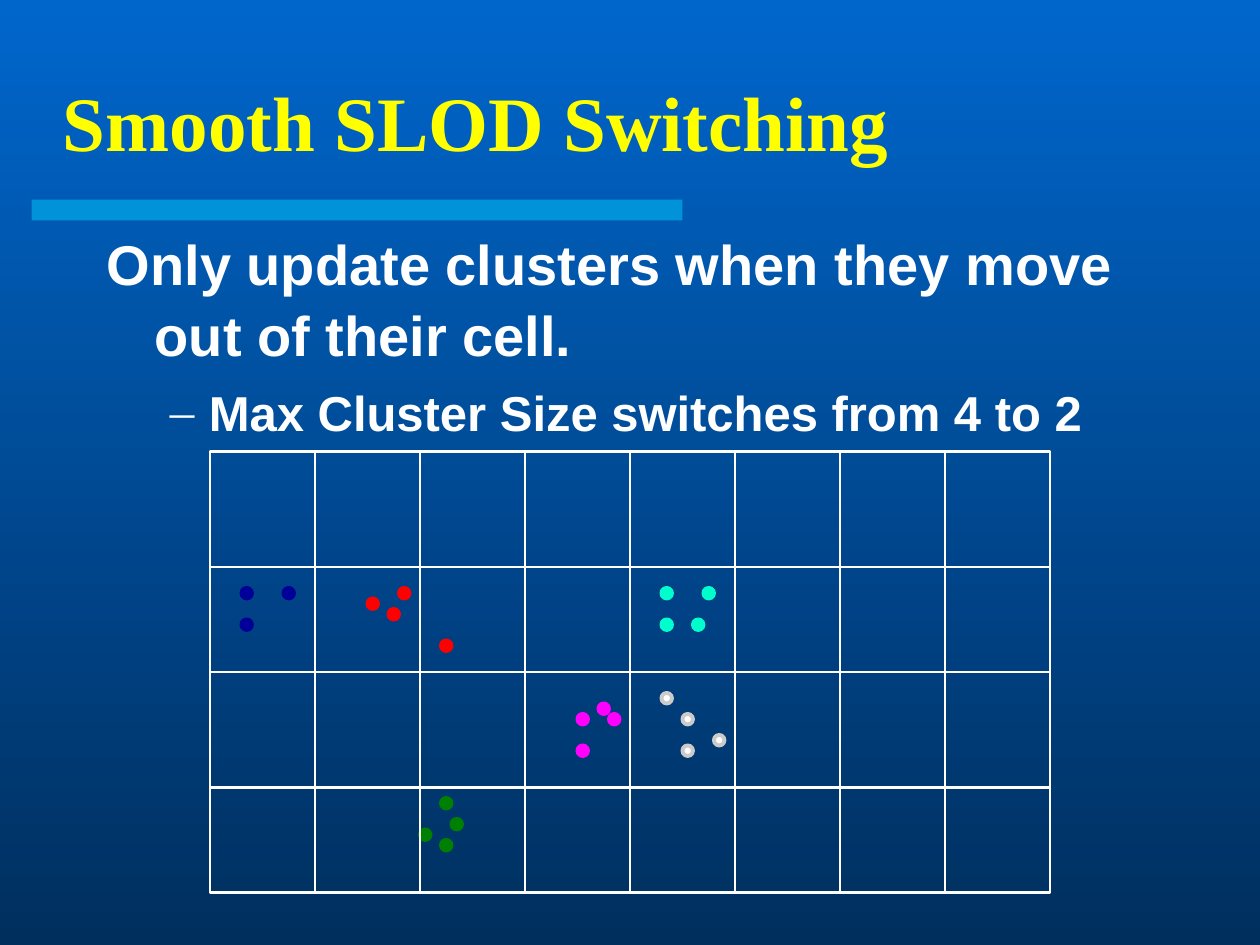
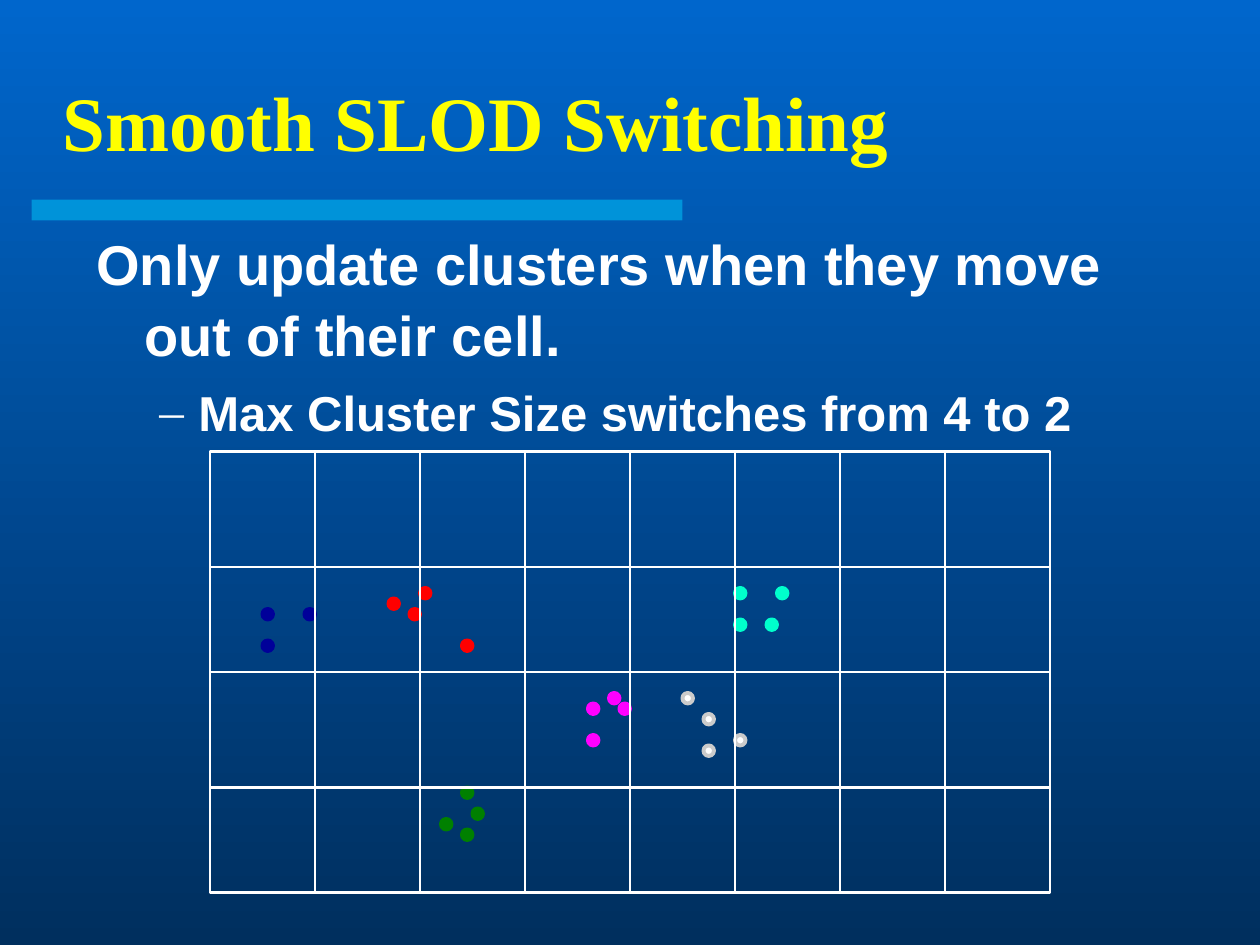
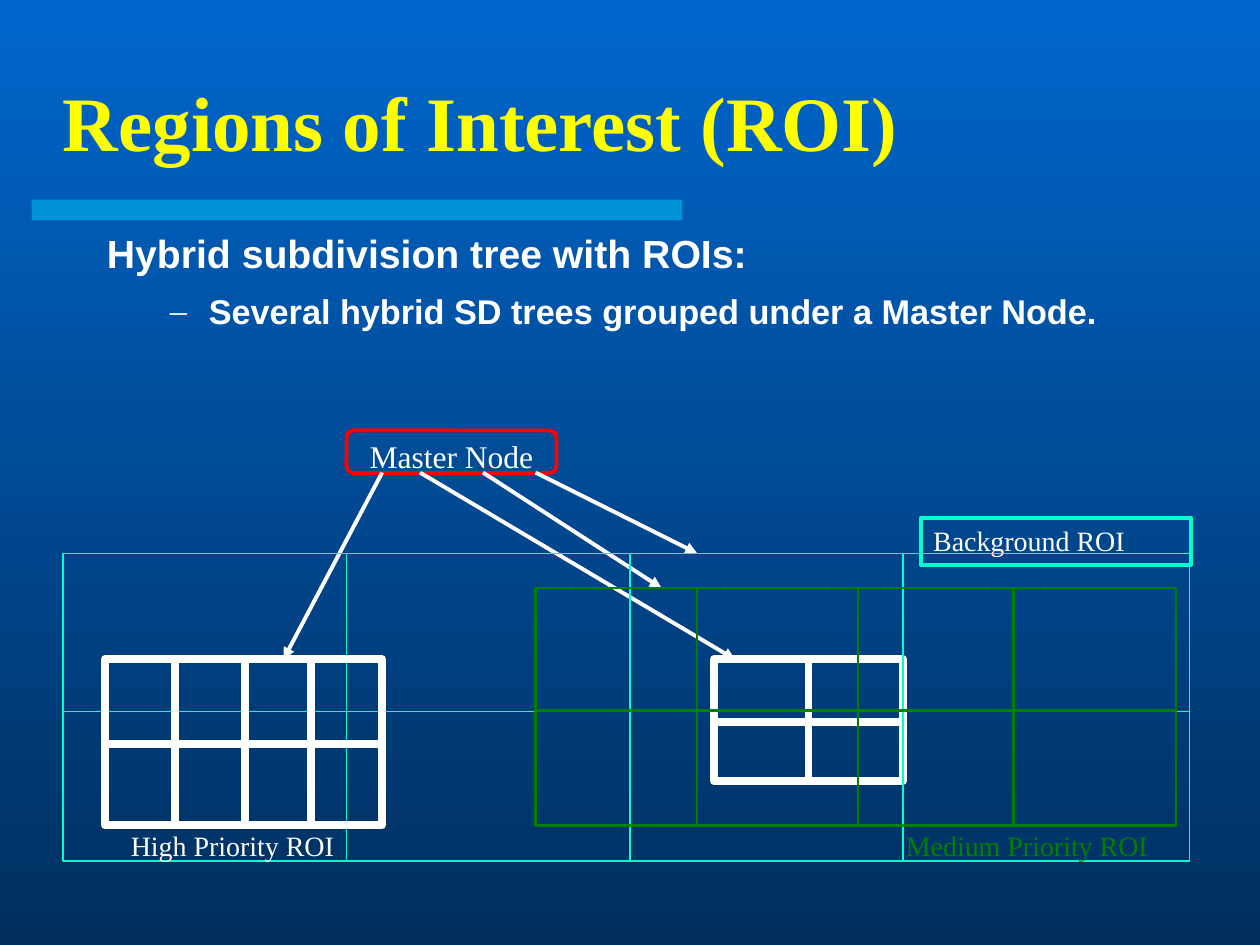
from lxml import etree
from pptx import Presentation
from pptx.dml.color import RGBColor
from pptx.enum.shapes import MSO_CONNECTOR, MSO_SHAPE
from pptx.enum.text import MSO_ANCHOR, PP_ALIGN
from pptx.oxml.ns import qn
from pptx.util import Inches, Pt

SKY = RGBColor(0x00, 0x66, 0xCC)
NAVY = RGBColor(0x00, 0x2F, 0x5E)
BAND = RGBColor(0x00, 0xCC, 0xFF)
YELLOW = RGBColor(0xFF, 0xFF, 0x00)
WHITE = RGBColor(0xFF, 0xFF, 0xFF)
SILVER = RGBColor(0xCB, 0xCB, 0xCB)
MAGENTA = RGBColor(0xFF, 0x00, 0xFF)
BLUE = RGBColor(0x00, 0x00, 0x99)
RED = RGBColor(0xFF, 0x00, 0x00)
AQUA = RGBColor(0x00, 0xFF, 0xCC)
GREEN = RGBColor(0x00, 0x80, 0x00)

SERIF = "Times New Roman"
SANS = "Arial"
UNITS_PER_INCH = 12

CLUSTERS = [
    (MAGENTA, MAGENTA, (1, -1), [(57, 67), (55, 68), (55, 71), (58, 68)]),
    (BLUE, BLUE, (2, 2), [(27, 56), (23, 56), (23, 59)]),
    (RED, RED, (2, 0), [(35, 57), (38, 56), (37, 58), (42, 61)]),
    (AQUA, AQUA, (7, 0), [(66, 59), (67, 56), (63, 56), (63, 59)]),
    (GREEN, GREEN, (2, -1), [(40, 79), (42, 76), (43, 78), (42, 80)]),
    (WHITE, SILVER, (2, 0), [(65, 68), (63, 66), (68, 70), (65, 71)]),
]

ARROWS = [
    ((36.4, 45), (27, 62.8)),
    ((40, 45), (70, 62.8)),
    ((46, 45), (63, 56)),
    ((51, 45), (66.4, 52.7)),
]


def units(*values):
    """Turn grid units, twelve to the inch, into lengths."""
    return [Inches(value / UNITS_PER_INCH) for value in values]


def add_figure(page, kind, area, fill=None, line=None, weight=1.5):
    """Add a preset shape whose area is left, top, width, height in units."""
    figure = page.shapes.add_shape(kind, *units(*area))
    figure.shadow.inherit = False
    if fill is None:
        figure.fill.background()
    else:
        figure.fill.solid()
        figure.fill.fore_color.rgb = fill
    if line is None:
        figure.line.fill.background()
    else:
        figure.line.color.rgb = line
        figure.line.width = Pt(weight)
    return figure


def add_line(page, start, end, color, weight, arrow=False):
    """Add a straight line, with an arrowhead at its end on request."""
    line = page.shapes.add_connector(MSO_CONNECTOR.STRAIGHT, *units(*start, *end))
    line.line.color.rgb = color
    line.line.width = Pt(weight)
    if arrow:
        etree.SubElement(line.line._get_or_add_ln(), qn("a:tailEnd"), type="triangle")
    etree.SubElement(line._element.spPr, qn("a:effectLst"))
    return line


def add_lattice(page, area, columns, rows, color, weight):
    """Draw a frame divided by lines at the given columns and rows."""
    left, top, width, height = area
    add_figure(page, MSO_SHAPE.RECTANGLE, area, line=color, weight=weight)
    for column in columns:
        add_line(page, (column, top), (column, top + height), color, weight)
    for row in rows:
        add_line(page, (left, row), (left + width, row), color, weight)


def add_text_box(page, area, anchor=MSO_ANCHOR.TOP):
    """Add an empty wrapping text box."""
    box = page.shapes.add_textbox(*units(*area))
    box.text_frame.word_wrap = True
    box.text_frame.vertical_anchor = anchor
    return box


def write(para, text, size, font, color=WHITE, bold=False, before=0):
    """Add one run to a paragraph and set the space above it."""
    para.space_before = Pt(before)
    span = para.add_run()
    span.text = text
    span.font.size = Pt(size)
    span.font.name = font
    span.font.bold = bold
    span.font.color.rgb = color


def indent(para, margin, hanging, bullet=None):
    """Give a paragraph a hanging indent in inches and a white bullet."""
    properties = para._p.get_or_add_pPr()
    properties.set("marL", str(Inches(margin)))
    properties.set("indent", str(-Inches(hanging)))
    if bullet:
        color = etree.SubElement(properties, qn("a:buClr"))
        etree.SubElement(color, qn("a:srgbClr"), val=str(WHITE))
        etree.SubElement(properties, qn("a:buFont"), typeface=SERIF)
        etree.SubElement(properties, qn("a:buChar"), char=bullet)


def add_label(page, area, text, size=16, color=WHITE, align=PP_ALIGN.LEFT, before=10):
    """Add a small serif label."""
    para = add_text_box(page, area).text_frame.paragraphs[0]
    para.alignment = align
    write(para, text, size, SERIF, color, before=before)


def add_page(deck, title):
    """Add a page with the shared background, band and title."""
    page = deck.slides.add_slide(deck.slide_layouts[6])
    fill = page.background.fill
    fill.gradient()
    fill.gradient_angle = 270
    for stop, color in zip(fill.gradient_stops, (SKY, NAVY)):
        stop.color.rgb = color
    band = add_figure(page, MSO_SHAPE.RECTANGLE, (3, 19, 62, 2), fill=BAND)
    tint = band._element.spPr.find(qn("a:solidFill"))[0]
    etree.SubElement(tint, qn("a:alpha"), val="50000")
    box = add_text_box(page, (4.8, 4, 106.2, 15), MSO_ANCHOR.MIDDLE)
    write(box.text_frame.paragraphs[0], title, 44, SERIF, YELLOW, bold=True)
    return page


def add_body(page, area, heading, point, sizes):
    """Add a heading with one dashed point below it."""
    frame = add_text_box(page, area).text_frame
    first, second = frame.paragraphs[0], frame.add_paragraph()
    for para in (first, second):
        para.line_spacing = 1.05
    write(first, heading, sizes[0], SANS, bold=True, before=8)
    indent(first, 0.38, 0.38)
    write(second, point, sizes[1], SANS, bold=True, before=7)
    indent(second, 0.81, 0.31, "–")


def add_switching_page(deck, body_left, moved):
    """Show the clusters on the cell grid, before or after they move."""
    page = add_page(deck, "Smooth SLOD Switching")
    add_body(page, (body_left, 21, 102, 54),
             "Only update clusters when they move out of their cell.",
             "Max Cluster Size switches from 4 to 2", (32, 28))
    for fill, line, (across, down), dots in CLUSTERS:
        for column, row in dots:
            spot = (column + across * moved, row + down * moved, 1, 1)
            add_figure(page, MSO_SHAPE.OVAL, spot, fill, line, 2.25)
    for left in (20, 60):
        columns = range(left + 10, left + 40, 10)
        add_lattice(page, (left, 43, 40, 42), columns, (54, 64, 75), WHITE, 1.5)


def add_regions_page(deck):
    """Show the master node pointing at its regions."""
    page = add_page(deck, "Regions of Interest (ROI)")
    add_body(page, (9, 21, 102, 11), "Hybrid subdivision tree with ROIs:",
             "Several hybrid SD trees grouped under a Master Node.", (22.4, 19.6))
    add_lattice(page, (68, 62.8, 18, 11.6), [77], [68.8], WHITE, 4.5)
    add_label(page, (33, 41, 20, 4.8), "Master Node", 18,
              align=PP_ALIGN.CENTER, before=11.2)
    add_figure(page, MSO_SHAPE.FLOWCHART_ALTERNATE_PROCESS, (33, 41, 20, 4.05),
               line=RED, weight=2.25)
    for start, end in ARROWS:
        add_line(page, start, end, WHITE, 2.25, arrow=True)
    add_lattice(page, (6, 52.7, 107.3, 29.3), (33, 60, 86), [67.8], AQUA, 0.75)
    background = (87.7, 49.3, 25.7, 4.5)
    add_figure(page, MSO_SHAPE.RECTANGLE, background, line=AQUA, weight=2.25)
    add_label(page, background, "Background ROI")
    add_lattice(page, (51, 56, 61, 22.6), (66.4, 81.7, 96.5), [67.7], GREEN, 1.5)
    add_label(page, (85.1, 78.3, 26.9, 4.5), "Medium Priority ROI", color=GREEN)
    add_lattice(page, (10, 62.8, 26.4, 15.8), (16.7, 23.3, 29.6), [70.9], WHITE, 4.5)
    add_label(page, (6.1, 78.3, 26.9, 4.5), "High Priority ROI", align=PP_ALIGN.RIGHT)


def main():
    """Build the deck and save it."""
    deck = Presentation()
    deck.slide_width, deck.slide_height = units(120, 90)
    add_switching_page(deck, body_left=9, moved=False)
    add_switching_page(deck, body_left=8, moved=True)
    add_regions_page(deck)
    deck.save("out.pptx")


if __name__ == "__main__":
    main()
